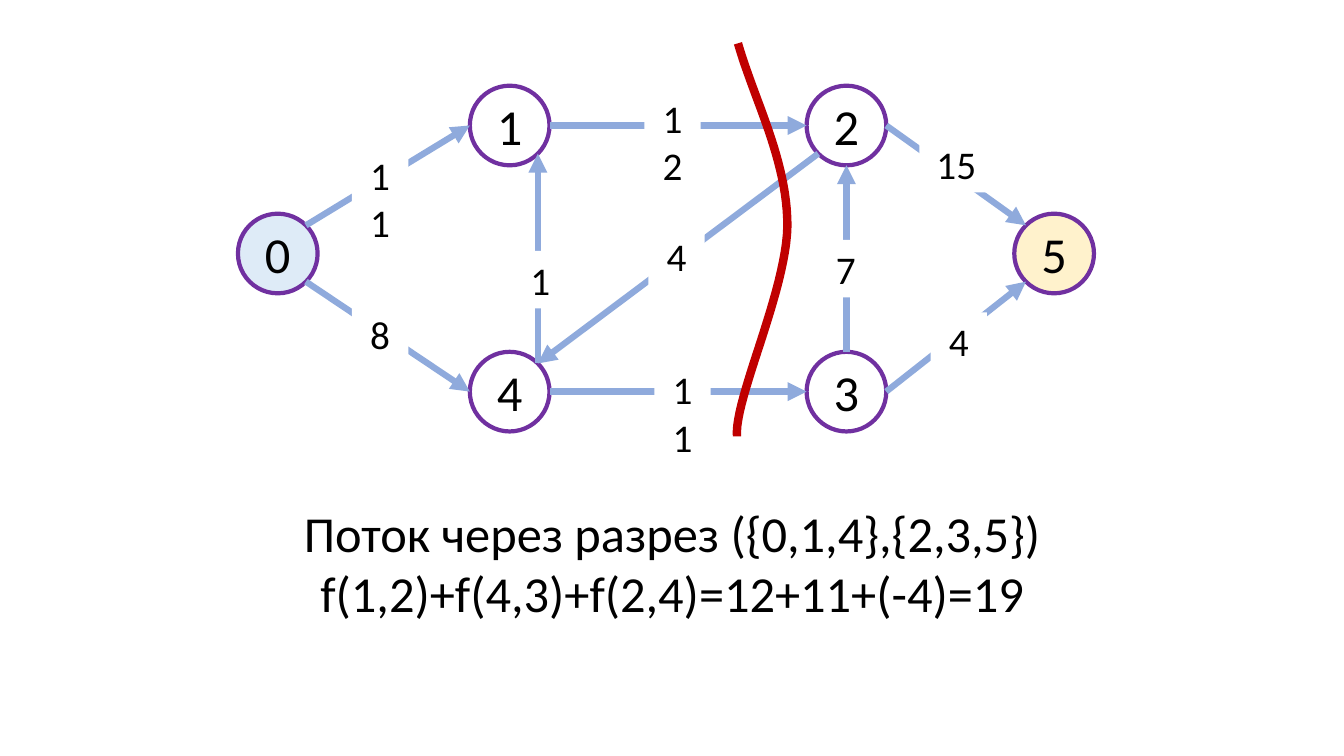
from lxml import etree
from pptx import Presentation
from pptx import util as u
from pptx.dml.color import RGBColor
from pptx.enum import shapes, text
from pptx.oxml.ns import qn

FONT = "Calibri"
DIAMETER = 0.79
DIAGONAL = 0.5 ** 0.5

# Directions from the centre of a node to its rim
LEFT, RIGHT, TOP, BOTTOM = (-1, 0), (1, 0), (0, -1), (0, 1)
TOP_RIGHT = (DIAGONAL, -DIAGONAL)
BOTTOM_RIGHT = (DIAGONAL, DIAGONAL)
TOP_LEFT = (-DIAGONAL, -DIAGONAL)
BOTTOM_LEFT = (-DIAGONAL, DIAGONAL)

# Node: left, top (relative to the graph), fill
NODES = {
    "0": (0, 1.69, "DEEBF7"),
    "1": (2.3, 0.42, "FFFFFF"),
    "5": (7.7, 1.69, "FFF2CC"),
    "2": (5.64, 0.42, "FFFFFF"),
    "4": (2.3, 3.06, "FFFFFF"),
    "3": (5.64, 3.06, "FFFFFF"),
}

# Edge: start node and side, end node and side, flow, label left, top, width
EDGES = [
    ("0", TOP_RIGHT, "1", LEFT, "11", 1.13, 1.02, 0.56),
    ("0", BOTTOM_RIGHT, "4", LEFT, "8", 1.13, 2.6, 0.56),
    ("4", TOP_RIGHT, "1", BOTTOM_RIGHT, "1", 2.72, 2.06, 0.56),
    ("1", RIGHT, "2", LEFT, "12", 4.03, 0.46, 0.56),
    ("3", TOP, "2", BOTTOM, "7", 5.75, 1.95, 0.56),
    ("4", RIGHT, "3", LEFT, "11", 4.13, 3.15, 0.56),
    ("2", BOTTOM_LEFT, "4", TOP_RIGHT, "4", 4.07, 1.83, 0.56),
    ("2", RIGHT, "5", TOP_LEFT, "15", 6.76, 0.91, 0.73),
    ("3", RIGHT, "5", BOTTOM_LEFT, "4", 6.87, 2.67, 0.56),
]

# Two Bezier curves of the cut, relative to the graph
CUT = [
    [(4.96, 0), (5.12, 0.56), (5.45, 1.16), (5.45, 1.81)],
    [(5.45, 1.81), (5.44, 2.46), (4.92, 3.53), (4.95, 3.9)],
]


def color(value):
    return RGBColor.from_string(value)


def write(shape, lines, size):
    frame = shape.text_frame
    frame.word_wrap = True
    frame.text = "\n".join(lines)
    for paragraph in frame.paragraphs:
        paragraph.alignment = text.PP_ALIGN.CENTER
        paragraph.font.name = FONT
        paragraph.font.size = u.Pt(size)
        paragraph.font.color.rgb = color("000000")


def add_text(slide, lines, size, left, top, width, height):
    box = slide.shapes.add_textbox(*map(u.Inches, (left, top, width, height)))
    write(box, lines, size)
    box.text_frame.auto_size = text.MSO_AUTO_SIZE.SHAPE_TO_FIT_TEXT
    return box


def set_line(shape, line_color, width):
    shape.line.color.rgb = color(line_color)
    shape.line.width = u.Pt(width)


def add_node(slide, name, left, top, fill):
    node = slide.shapes.add_shape(
        shapes.MSO_SHAPE.OVAL, *map(u.Inches, (left, top, DIAMETER, DIAMETER)))
    node.shadow.inherit = False
    node.fill.solid()
    node.fill.fore_color.rgb = color(fill)
    set_line(node, "7030A0", 3)
    write(node, [name], 36)
    node.text_frame.vertical_anchor = text.MSO_ANCHOR.MIDDLE


def add_arrow(slide, start, end):
    arrow = slide.shapes.add_connector(
        shapes.MSO_CONNECTOR.STRAIGHT, *map(u.Inches, (*start, *end)))
    set_line(arrow, "8FAADC", 4.5)
    etree.SubElement(arrow.line._get_or_add_ln(), qn("a:tailEnd"), type="triangle")
    etree.SubElement(arrow._element.spPr, qn("a:effectLst"))


def bezier(points, t):
    weights = ((1 - t) ** 3, 3 * t * (1 - t) ** 2, 3 * t ** 2 * (1 - t), t ** 3)
    return tuple(sum(w * p[axis] for w, p in zip(weights, points)) for axis in (0, 1))


def add_cut(slide, left, top, steps=24):
    points = [CUT[0][0]]
    points += [bezier(curve, i / steps) for curve in CUT for i in range(1, steps + 1)]
    points = [(u.Inches(left + x), u.Inches(top + y)) for x, y in points]
    builder = slide.shapes.build_freeform(*points[0])
    builder.add_line_segments(points[1:], close=False)
    cut = builder.convert_to_shape()
    cut.shadow.inherit = False
    cut.fill.background()
    set_line(cut, "C00000", 6)


def add_graph(slide, left, top):
    def rim(name, side):
        x, y, _ = NODES[name]
        radius = DIAMETER / 2
        return left + x + radius * (1 + side[0]), top + y + radius * (1 + side[1])

    # Nodes
    for name, (x, y, fill) in NODES.items():
        add_node(slide, name, left + x, top + y, fill)
    # Edges
    for start, start_side, end, end_side, *_ in EDGES:
        add_arrow(slide, rim(start, start_side), rim(end, end_side))
    # Flow labels cover the middle of the edges
    for *_, flow, x, y, width in EDGES:
        label = add_text(slide, [flow], 28, left + x, top + y, width, 0.57)
        label.fill.solid()
        label.fill.fore_color.rgb = color("FFFFFF")
    # Cut line
    add_cut(slide, left, top)


def main():
    presentation = Presentation()
    presentation.slide_width = u.Inches(13.33)
    presentation.slide_height = u.Inches(7.5)
    slide = presentation.slides.add_slide(presentation.slide_layouts[6])
    add_graph(slide, 2.36, 0.43)
    # Flow through the cut
    add_text(slide, ["Поток через разрез ({0,1,4},{2,3,5})",
                     "f(1,2)+f(4,3)+f(2,4)=12+11+(-4)=19"], 36, 2.18, 4.93, 8.98, 1.31)
    presentation.save("out.pptx")


if __name__ == "__main__":
    main()
